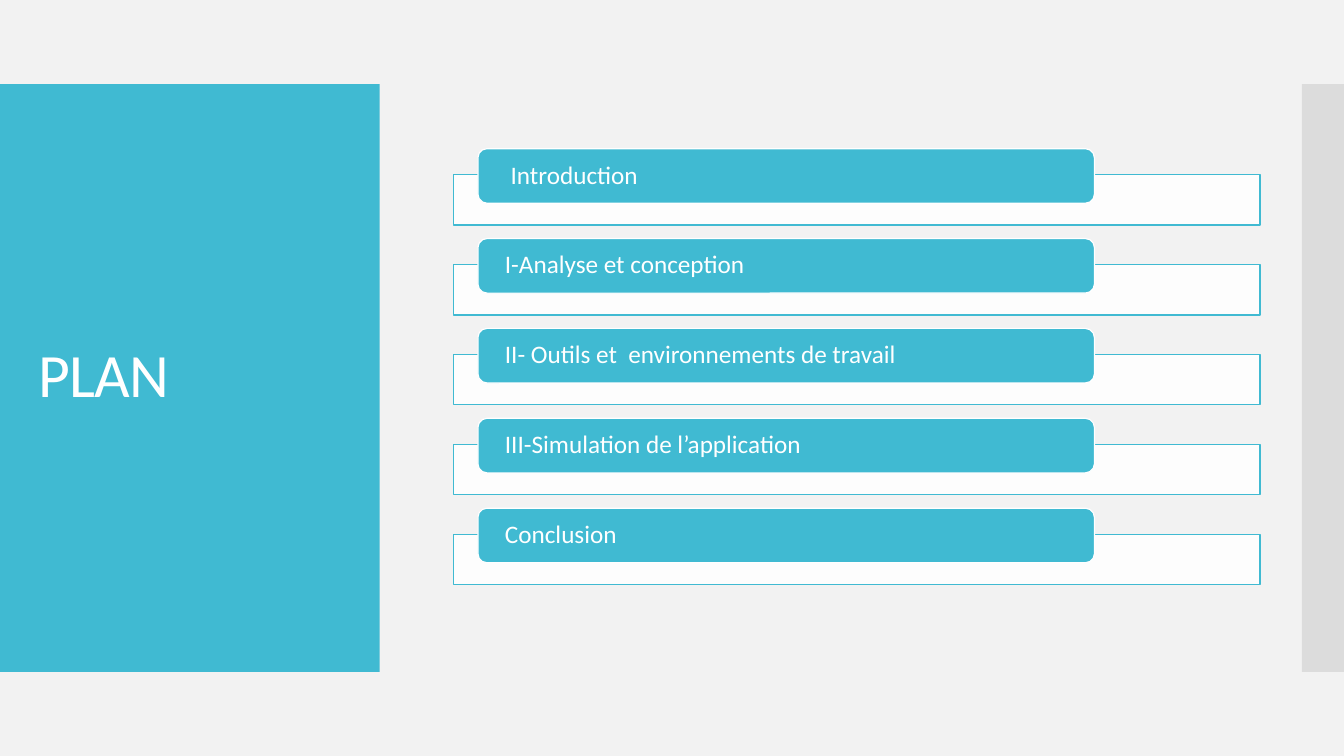
from dataclasses import dataclass

from pptx import Presentation
from pptx.dml.color import RGBColor
from pptx.enum.shapes import MSO_SHAPE as Preset
from pptx.enum.text import MSO_ANCHOR as Anchor, MSO_AUTO_SIZE as AutoSize, PP_ALIGN as Align
from pptx.oxml.ns import qn
from pptx.shapes.autoshape import Shape
from pptx.slide import Slide
from pptx.text.text import TextFrame
from pptx.util import Inches, Pt
from lxml.etree import SubElement

COLUMNS, ROWS = 160, 90
CELL = Inches(1 / 12)


@dataclass(frozen=True)
class Theme:
    background: str = "F2F2F2"
    accent: str = "40BAD2"
    light: str = "FFFFFF"
    edge: str = "C8C8C8"
    font: str = "Calibri"
    title_size: float = 44
    section_size: float = 18
    line_width: float = 0.85


@dataclass(frozen=True)
class Area:
    """A rectangle in grid columns and rows."""
    column: float
    row: float
    columns: float
    rows: float

    def emu(self) -> list[int]:
        return [round(n * CELL) for n in (self.column, self.row, self.columns, self.rows)]


@dataclass(frozen=True)
class Section:
    label: str
    row: float


THEME = Theme()
TITLE_PANEL = Area(0, 10, 45.2, 70)
EDGE_PANEL = Area(155, 10, 5, 70)
TITLE_AREA = Area(3.4, 14.8, 38.6, 60.4)
FIRST_ROW, ROW_STEP = 20.8, 10.7
LABELS = (
    " Introduction",
    "I-Analyse et conception",
    "II- Outils et  environnements de travail",
    "III-Simulation de l’application",
    "Conclusion",
)
SECTIONS = [Section(label, FIRST_ROW + i * ROW_STEP) for i, label in enumerate(LABELS)]


def rgb(color: str) -> RGBColor:
    return RGBColor.from_string(color)


def add_block(slide: Slide, preset: Preset, area: Area, fill: str,
              line: str | None = None, opacity: int = 100) -> Shape:
    block = slide.shapes.add_shape(preset, *area.emu())
    block.shadow.inherit = False
    block.fill.solid()
    block.fill.fore_color.rgb = rgb(fill)
    if opacity < 100:
        color = block.fill._xPr.find(qn("a:solidFill"))[0]
        SubElement(color, qn("a:alpha")).set("val", str(opacity * 1000))
    if line:
        block.line.color.rgb = rgb(line)
        block.line.width = Pt(THEME.line_width)
    else:
        block.line.fill.background()
    return block


def write(frame: TextFrame, text: str, size: float) -> None:
    frame.text = text
    frame.word_wrap = True
    frame.auto_size = AutoSize.NONE
    frame.vertical_anchor = Anchor.MIDDLE
    paragraph = frame.paragraphs[0]
    paragraph.alignment = Align.LEFT
    paragraph.line_spacing = 0.9
    font = paragraph.runs[0].font
    font.name, font.size = THEME.font, Pt(size)
    font.color.rgb = rgb(THEME.light)


def add_title(slide: Slide, text: str) -> None:
    """Fill the title placeholder and bring it in front of its panel."""
    title = slide.shapes.title
    title.left, title.top, title.width, title.height = TITLE_AREA.emu()
    write(title.text_frame, text, THEME.title_size)
    title.text_frame.paragraphs[0].runs[0].font._element.set("spc", "-60")
    slide.shapes._spTree.append(title._element)


def add_section(slide: Slide, section: Section) -> None:
    add_block(slide, Preset.RECTANGLE, Area(54, section.row, 96, 6),
              THEME.light, THEME.accent, opacity=90)
    tab = add_block(slide, Preset.ROUNDED_RECTANGLE,
                    Area(56.9, section.row - 3.1, 73.4, 6.5), THEME.accent, THEME.light)
    frame = tab.text_frame
    write(frame, section.label, THEME.section_size)
    frame.margin_left = frame.margin_right = round(2.9 * CELL)
    frame.margin_top = frame.margin_bottom = 0


def main() -> None:
    deck = Presentation()
    deck.slide_width, deck.slide_height = COLUMNS * CELL, ROWS * CELL
    slide = deck.slides.add_slide(deck.slide_layouts[5])
    slide.background.fill.solid()
    slide.background.fill.fore_color.rgb = rgb(THEME.background)
    add_block(slide, Preset.RECTANGLE, TITLE_PANEL, THEME.accent)
    add_block(slide, Preset.RECTANGLE, EDGE_PANEL, THEME.edge, opacity=50)
    add_title(slide, "PLAN")
    for section in SECTIONS:
        add_section(slide, section)
    deck.save("out.pptx")


if __name__ == "__main__":
    main()
